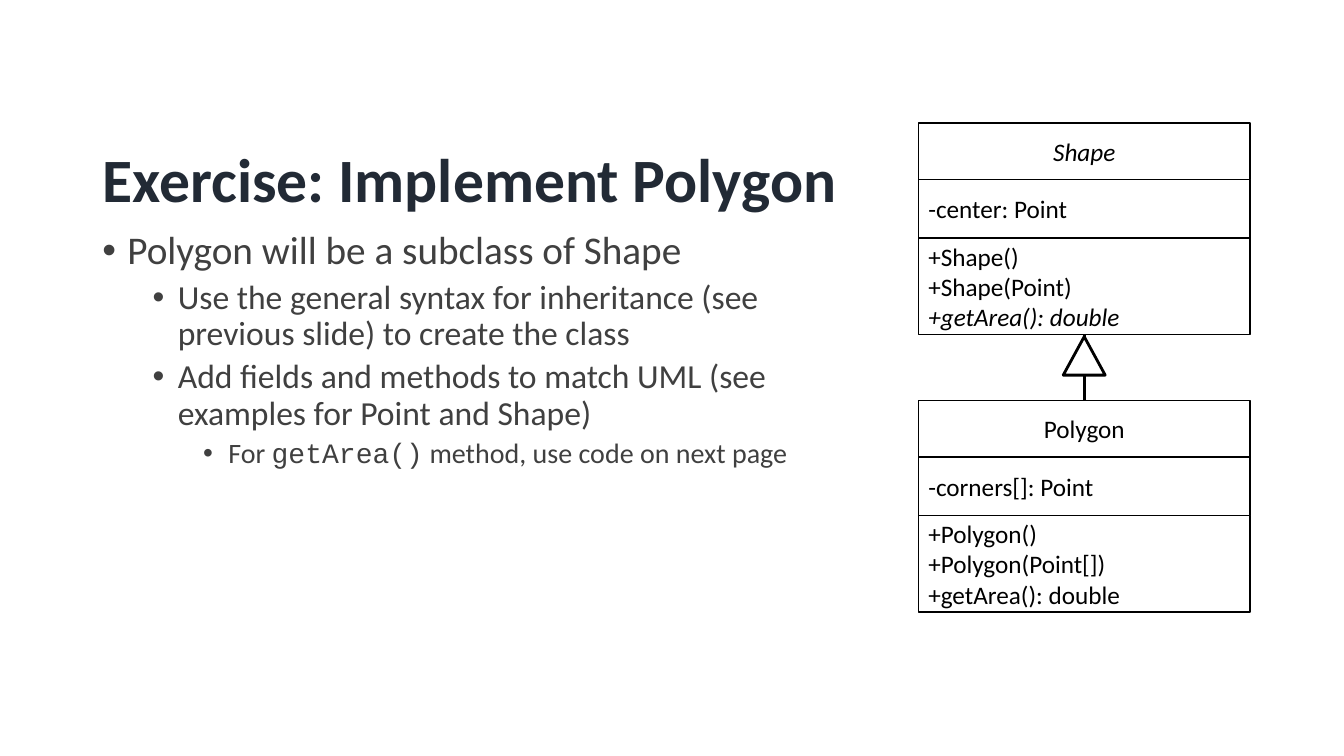
from pptx import Presentation
from pptx.dml.color import RGBColor
from pptx.enum.shapes import MSO_CONNECTOR, MSO_SHAPE
from pptx.enum.text import MSO_ANCHOR, MSO_AUTO_SIZE, PP_ALIGN
from pptx.oxml.ns import qn
from pptx.util import Pt
from lxml import etree

STRAIGHT = MSO_CONNECTOR.STRAIGHT
RECTANGLE, TRIANGLE = MSO_SHAPE.RECTANGLE, MSO_SHAPE.ISOSCELES_TRIANGLE
TOP, MIDDLE = MSO_ANCHOR.TOP, MSO_ANCHOR.MIDDLE
LEFT, CENTER = PP_ALIGN.LEFT, PP_ALIGN.CENTER
NO_AUTOFIT = MSO_AUTO_SIZE.NONE

COLORS = {"title": "222A35", "body": "404040", "ink": "000000", "paper": "FFFFFF"}
BODY_FONT, CODE_FONT = "Calibri", "Courier New"

# Bullet paragraphs: level, runs of (text, font)
BULLETS = [
    (0, [("Polygon will be a subclass of Shape", BODY_FONT)]),
    (1, [("Use the general syntax for inheritance (see previous slide) "
          "to create the class", BODY_FONT)]),
    (1, [("Add fields and methods to match UML (see examples for Point and Shape)",
          BODY_FONT)]),
    (2, [("For ", BODY_FONT), ("getArea()", CODE_FONT),
         (" method, use code on next page", BODY_FONT)]),
]
BULLET_SIZES = [28, 24, 20]
BULLET_SPACING = [10, 5, 5]

# Class compartments: lines of (text, italic)
SHAPE_CLASS = [
    [("Shape", True)],
    [("-center: Point", False)],
    [("+Shape()", False), ("+Shape(Point)", False), ("+getArea(): double", True)],
]
POLYGON_CLASS = [
    [("Polygon", False)],
    [("-corners[]: Point", False)],
    [("+Polygon()", False), ("+Polygon(Point[])", False), ("+getArea(): double", False)],
]
COMPARTMENT_HEIGHTS = [40.5, 41.75, 69]


def color(name):
    return RGBColor.from_string(COLORS[name])


def add_span(para, text, size, color_name, font=BODY_FONT, bold=False, italic=False):
    span = para.add_run()
    span.text = text
    span.font.name = font
    span.font.size = Pt(size)
    span.font.bold = bold
    span.font.italic = italic
    span.font.color.rgb = color(color_name)


def prepare_frame(frame, anchor):
    frame.word_wrap = True
    frame.auto_size = NO_AUTOFIT
    frame.vertical_anchor = anchor


def next_para(frame, index):
    return frame.paragraphs[0] if index == 0 else frame.add_paragraph()


def set_bullet(para, level):
    props = para._p.get_or_add_pPr()
    props.set("marL", str(Pt(18 + 36 * level)))
    props.set("indent", str(-Pt(18)))
    etree.SubElement(props, qn("a:buFont")).set("typeface", "Arial")
    etree.SubElement(props, qn("a:buChar")).set("char", "•")


def fill_title(page, left, top, width, height):
    title = page.shapes.title
    title.left, title.top = Pt(left), Pt(top)
    title.width, title.height = Pt(width), Pt(height)
    prepare_frame(title.text_frame, TOP)
    para = title.text_frame.paragraphs[0]
    para.alignment = LEFT
    para.line_spacing = 0.9
    add_span(para, "Exercise: Implement Polygon", 44, "title", bold=True)


def add_bullets(page, left, top, width, height):
    box = page.shapes.add_textbox(Pt(left), Pt(top), Pt(width), Pt(height))
    prepare_frame(box.text_frame, TOP)
    for index, (level, spans) in enumerate(BULLETS):
        para = next_para(box.text_frame, index)
        para.level = level
        para.line_spacing = 0.9
        para.space_before = Pt(BULLET_SPACING[level])
        set_bullet(para, level)
        for text, font in spans:
            add_span(para, text, BULLET_SIZES[level], "body", font)


def add_outline(page, kind, left, top, width, height, weight):
    outline = page.shapes.add_shape(kind, Pt(left), Pt(top), Pt(width), Pt(height))
    outline.shadow.inherit = False
    outline.line.color.rgb = color("ink")
    outline.line.width = Pt(weight)
    return outline


def add_class(page, compartments, left, top, width):
    """Stack the compartments and return the bottom edge."""
    for row, (lines, height) in enumerate(zip(compartments, COMPARTMENT_HEIGHTS)):
        box = add_outline(page, RECTANGLE, left, top, width, height, 1)
        box.fill.background()
        prepare_frame(box.text_frame, MIDDLE)
        for index, (text, italic) in enumerate(lines):
            para = next_para(box.text_frame, index)
            para.alignment = CENTER if row == 0 else LEFT
            add_span(para, text, 18, "ink", italic=italic)
        top += height
    return top


def add_inheritance(page, center, top, bottom):
    stem = page.shapes.add_connector(STRAIGHT, Pt(center), Pt(bottom), Pt(center), Pt(top))
    stem.line.color.rgb = color("ink")
    stem.line.width = Pt(2)
    etree.SubElement(stem._element.spPr, qn("a:effectLst"))
    head = add_outline(page, TRIANGLE, center - 15, top + 1.5, 30, 27.5, 2)
    head.fill.solid()
    head.fill.fore_color.rgb = color("paper")


def add_diagram(page, left, top, width, gap):
    shape_bottom = add_class(page, SHAPE_CLASS, left, top, width)
    polygon_top = shape_bottom + gap
    add_class(page, POLYGON_CLASS, left, polygon_top, width)
    add_inheritance(page, left + width / 2, shape_bottom, polygon_top)


def main():
    deck = Presentation()
    deck.slide_width, deck.slide_height = Pt(960), Pt(540)
    page = deck.slides.add_slide(deck.slide_layouts[5])
    page.background.fill.solid()
    page.background.fill.fore_color.rgb = color("paper")

    fill_title(page, 66, 103, 828, 48)
    add_bullets(page, 66, 161.5, 561.5, 342.5)
    add_diagram(page, 656, 87.75, 237, 47)

    deck.save("out.pptx")


if __name__ == "__main__":
    main()
